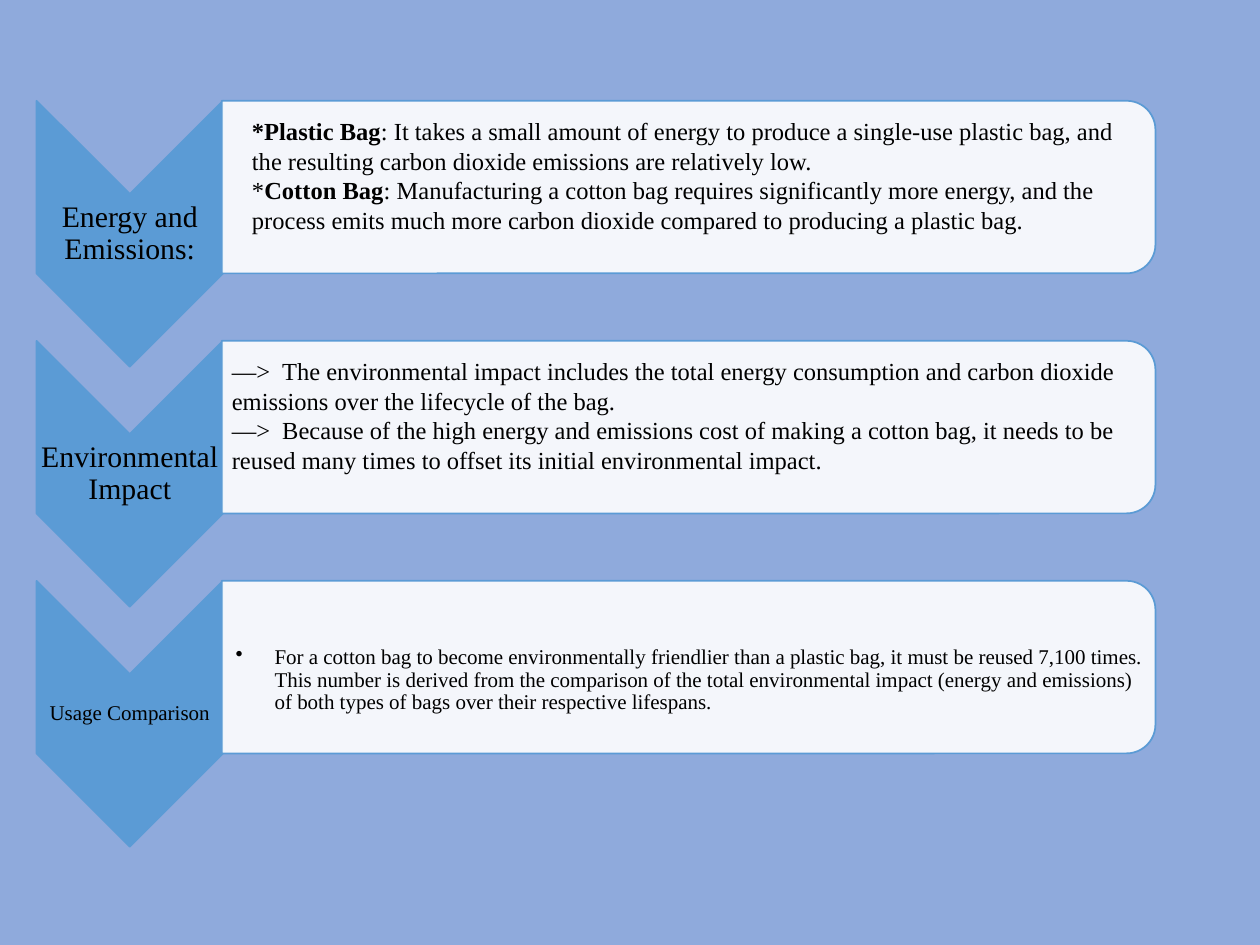
import pptx
import pptx.util
import pptx.dml.color
import pptx.enum.shapes
import pptx.enum.text
from lxml import etree
from pptx.util import Inches, Pt

SHAPES = pptx.enum.shapes.MSO_SHAPE
ALIGN = pptx.enum.text.PP_ALIGN
FONT = "Times New Roman"
BLUE, WHITE, BLACK, BACKGROUND = "5B9BD5", "FFFFFF", "000000", "8FAADC"

# Content: each paragraph is a list of (text, bold) runs
STEPS = [
    {"label": "Energy and Emissions:", "label_size": 17, "size": 14,
     "insets": (0.24, 0.02, 0.02, 0.22), "style": "plain",
     "paragraphs": [
         [("*Plastic Bag", True),
          (": It takes a small amount of energy to produce a single-use plastic bag, "
           "and the resulting carbon dioxide emissions are relatively low.", False)],
         [("*", False), ("Cotton Bag", True),
          (": Manufacturing a cotton bag requires significantly more energy, and the "
           "process emits much more carbon dioxide compared to producing a plastic bag.",
           False)]]},
    {"label": "Environmental Impact", "label_size": 17, "size": 14,
     "insets": (0.08, 0.01, 0.01, 0.21), "style": "tab",
     "paragraphs": [
         [("—>\tThe environmental impact includes the total energy consumption and "
           "carbon dioxide emissions over the lifecycle of the bag.", False)],
         [("—>\tBecause of the high energy and emissions cost of making a cotton bag, "
           "it needs to be reused many times to offset its initial environmental "
           "impact.", False)]]},
    {"label": "Usage Comparison", "label_size": 12, "size": 12,
     "insets": (0.11, 0.21, 0.01, 0.01), "style": "bullet",
     "paragraphs": [
         [("For a cotton bag to become environmentally friendlier than a plastic bag, "
           "it must be reused 7,100 times. This number is derived from the comparison "
           "of the total environmental impact (energy and emissions) of both types of "
           "bags over their respective lifespans.", False)]]},
]

# Layout in inches
FIRST_TOP, STEP_HEIGHT = 0.8, 1.905
CHEVRON_LEFT, CHEVRON_WIDTH, CHEVRON_HEIGHT = 0.29, 1.48, 2.11
CARD_LEFT, CARD_WIDTH, CARD_HEIGHT = 1.76, 7.41, 1.37


def color(value):
    return pptx.dml.color.RGBColor.from_string(value)


def add_element(parent, tag, **attributes):
    return etree.SubElement(parent, pptx.oxml.ns.qn(tag), attributes)


def add_turned_shape(page, kind, left, top, width, height, adjustments, fill):
    """Place a shape turned by 90 degrees; the size is the one seen after turning."""
    shape = page.shapes.add_shape(
        kind, Inches(left + (width - height) / 2), Inches(top + (height - width) / 2),
        Inches(height), Inches(width))
    shape.rotation = 90
    for index, value in enumerate(adjustments):
        shape.adjustments[index] = value
    shape.shadow.inherit = False
    shape.fill.solid()
    shape.fill.fore_color.rgb = color(fill)
    shape.line.color.rgb = color(BLUE)
    shape.line.width = Pt(1)
    return shape


def add_text(page, left, top, width, height, insets, paragraphs, size, style):
    box = page.shapes.add_textbox(Inches(left), Inches(top), Inches(width), Inches(height))
    frame = box.text_frame
    frame.word_wrap = True
    frame.vertical_anchor = pptx.enum.text.MSO_ANCHOR.MIDDLE
    (frame.margin_left, frame.margin_top,
     frame.margin_right, frame.margin_bottom) = map(Inches, insets)
    for index, runs in enumerate(paragraphs):
        para = frame.add_paragraph() if index else frame.paragraphs[0]
        if style in ("label", "bullet"):
            para.line_spacing = 0.9
        if style == "label":
            para.alignment = ALIGN.CENTER
        properties = para._p.get_or_add_pPr()
        if style == "bullet":
            properties.set("marL", str(Inches(0.31)))
            properties.set("indent", str(-Inches(0.31)))
            add_element(properties, "a:buChar", char="•")
        elif style == "tab":
            tabs = add_element(properties, "a:tabLst")
            add_element(tabs, "a:tab", pos=str(Inches(0.4)), algn="l")
        para.font.name = FONT
        para.font.size = Pt(size)
        para.font.color.rgb = color(BLACK)
        for text, bold in runs:
            span = para.add_run()
            span.text = text
            if bold:
                span.font.bold = True


deck = pptx.Presentation()
deck.slide_width, deck.slide_height = Inches(10), Inches(7.5)
page = deck.slides.add_slide(deck.slide_layouts[6])
page.background.fill.solid()
page.background.fill.fore_color.rgb = color(BACKGROUND)

for row, step in enumerate(STEPS):
    top = FIRST_TOP + row * STEP_HEIGHT

    # Chevron with its label
    add_turned_shape(page, SHAPES.CHEVRON, CHEVRON_LEFT, top,
                     CHEVRON_WIDTH, CHEVRON_HEIGHT, [0.5], BLUE)
    add_text(page, CHEVRON_LEFT, top + 0.74, CHEVRON_WIDTH, 0.63, [0.01] * 4,
             [[(step["label"], False)]], step["label_size"], "label")

    # Slightly transparent card with the details
    card = add_turned_shape(page, SHAPES.ROUND_2_SAME_RECTANGLE, CARD_LEFT, top,
                            CARD_WIDTH, CARD_HEIGHT, [0.167, 0], WHITE)
    fill_color = card._element.spPr.find(".//" + pptx.oxml.ns.qn("a:srgbClr"))
    add_element(fill_color, "a:alpha", val="90000")
    add_text(page, CARD_LEFT, top + 0.07, 7.34, 1.24, step["insets"],
             step["paragraphs"], step["size"], step["style"])

deck.save("out.pptx")
